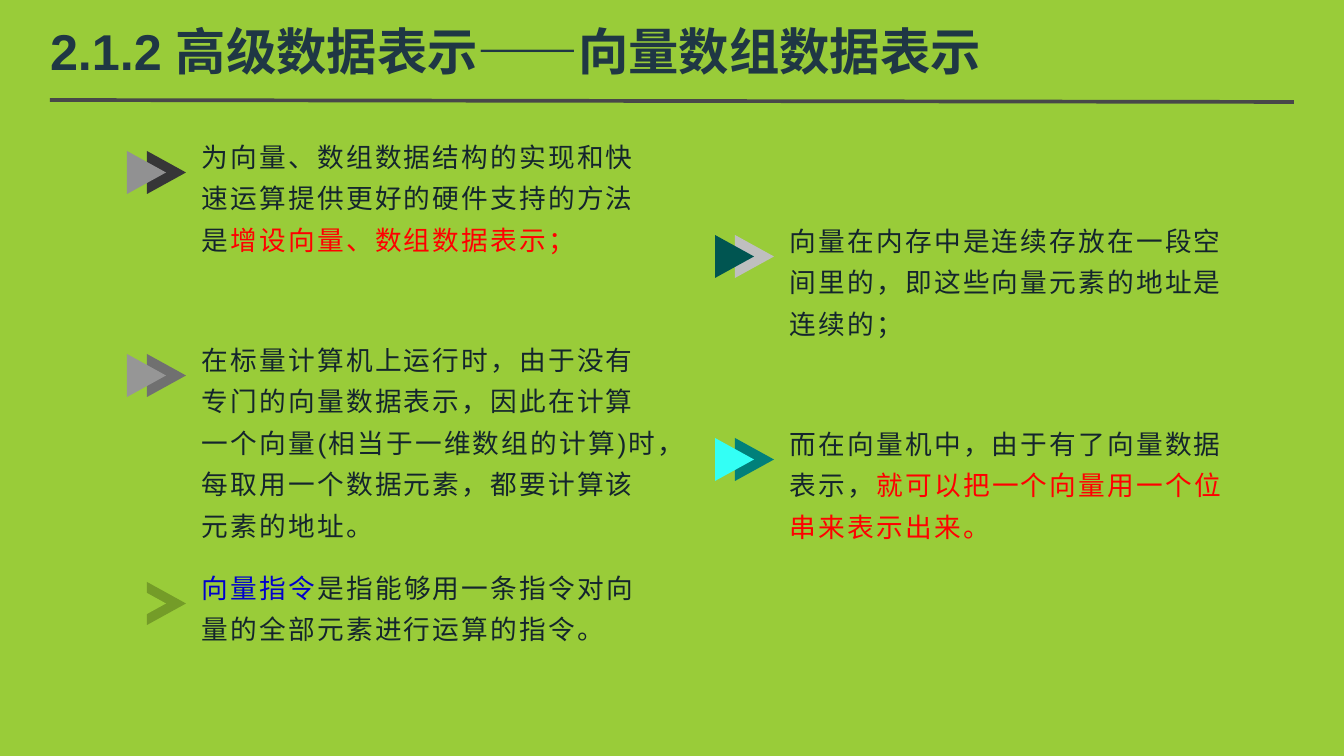
import pptx
import pptx.dml.color
import pptx.enum.shapes
import pptx.enum.text
import pptx.oxml.ns
import pptx.util
from lxml import etree

PX = 8572.5  # EMU in one px
GREEN, INK, RED, BLUE = "99CC39", "14252D", "FF0000", "0000CC"


def px(length):
    return pptx.util.Emu(round(length * PX))


def color(hex_string):
    return pptx.dml.color.RGBColor.from_string(hex_string)


presentation = pptx.Presentation()
presentation.slide_width, presentation.slide_height = px(1344), px(756)
slide = presentation.slides.add_slide(presentation.slide_layouts[6])
slide.background.fill.solid()
slide.background.fill.fore_color.rgb = color(GREEN)


def add_text(runs, left, top, width, height, *, size, inset=(0, 0), bold=False,
             spacing=0, line_spacing=None, anchor="TOP"):
    """Add a one-paragraph box; runs is a list of (text, hex colour)."""
    frame = slide.shapes.add_textbox(px(left), px(top), px(width), px(height)).text_frame
    frame.word_wrap = True
    frame.vertical_anchor = pptx.enum.text.MSO_ANCHOR[anchor]
    frame.margin_left = frame.margin_right = px(inset[0])
    frame.margin_top = frame.margin_bottom = px(inset[1])
    paragraph = frame.paragraphs[0]
    if line_spacing:
        paragraph.line_spacing = line_spacing
    for text, hex_string in runs:
        run = paragraph.add_run()
        run.text = text
        run.font.name = "Arial"
        run.font.size = pptx.util.Pt(size)
        run.font.bold = bold
        run.font.color.rgb = color(hex_string)
        if spacing:
            run.font._element.set("spc", str(round(spacing * 100)))


# Left, top and width of the text, back and front arrow colours, runs
points = [
    (192, 126, 478, "363637", "919192", [
        ("为向量、数组数据结构的实现和快速运算提供更好的硬件支持的方法是", INK),
        ("增设向量、数组数据表示；", RED)]),
    (780, 210, 467, "BFBFBF", "005551", [
        ("向量在内存中是连续存放在一段空间里的，即这些向量元素的地址是连续的；", INK)]),
    (192, 329, 478, "707070", "969696", [
        ("在标量计算机上运行时，由于没有专门的向量数据表示，因此在计算一个向量"
         "(相当于一维数组的计算)时，每取用一个数据元素，都要计算该元素的地址。", INK)]),
    (780, 413, 467, "00807A", "33FFF5", [
        ("而在向量机中，由于有了向量数据表示，", INK),
        ("就可以把一个向量用一个位串来表示出来。", RED)]),
    (192, 557, 478, "749C28", GREEN, [
        ("向量指令", BLUE),
        ("是指能够用一条指令对向量的全部元素进行运算的指令。", INK)]),
]
for left, top, width, back, front, runs in points:
    for offset, fill in ((47, back), (67, front)):
        arrow = slide.shapes.add_shape(
            pptx.enum.shapes.MSO_SHAPE.ISOSCELES_TRIANGLE,
            px(left - offset), px(top + 27), px(43), px(39))
        arrow.rotation = 90
        arrow.shadow.inherit = False
        arrow.fill.solid()
        arrow.fill.fore_color.rgb = color(fill)
        arrow.line.fill.background()
    add_text(runs, left, top, width, 181, size=18, inset=(10, 5),
             spacing=1.5, line_spacing=1.3)

title_rule = slide.shapes.add_connector(
    pptx.enum.shapes.MSO_CONNECTOR.STRAIGHT, px(50), px(100), px(1294), px(102))
title_rule.line.color.rgb = color("484849")
title_rule.line.width = pptx.util.Pt(2.5)
etree.SubElement(title_rule._element.spPr, pptx.oxml.ns.qn("a:effectLst"))

add_text([("2.1.2 高级数据表示——向量数组数据表示", "1F3744")], 50, 17, 1243, 67,
         size=34, bold=True, anchor="MIDDLE")

presentation.save("out.pptx")
